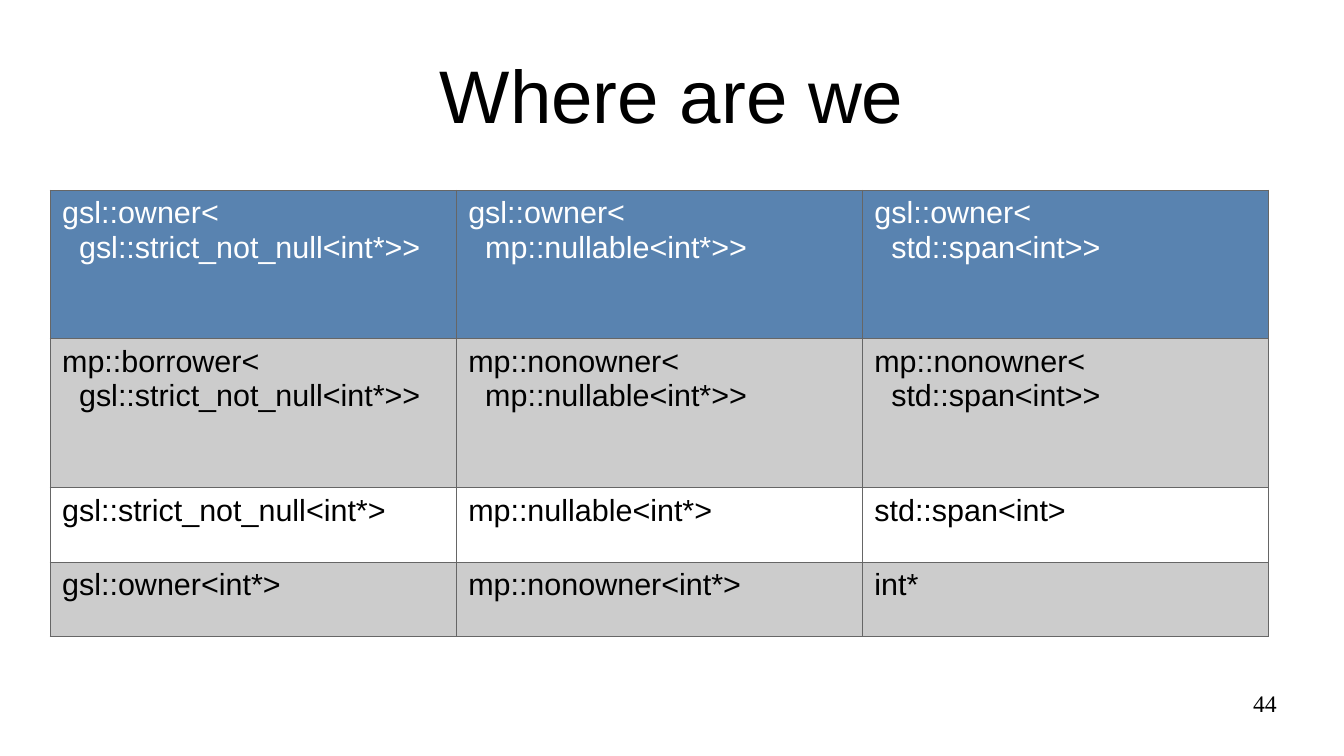
from dataclasses import dataclass

from lxml.etree import SubElement
from pptx import Presentation
from pptx.dml.color import RGBColor
from pptx.enum.text import MSO_ANCHOR as Anchor, PP_ALIGN as Align
from pptx.oxml.ns import qn
from pptx.slide import Slide
from pptx.table import _Cell as Cell
from pptx.text.text import TextFrame
from pptx.util import Inches, Pt

BLACK = RGBColor(0x00, 0x00, 0x00)
WHITE = RGBColor(0xFF, 0xFF, 0xFF)
BLUE = RGBColor(0x59, 0x83, 0xB0)
GREY = RGBColor(0xCC, 0xCC, 0xCC)
BORDER = RGBColor(0x66, 0x66, 0x66)

SLIDE_WIDTH, SLIDE_HEIGHT = 11.02, 6.2
TABLE_LEFT, TABLE_TOP = 0.41, 1.56
COLUMN_WIDTH, ROW_UNIT = 3.33, 0.61


@dataclass(frozen=True)
class TypeRow:
    """One table row: its cell texts, colours and height in row units."""

    texts: tuple[str, str, str]
    fill: RGBColor
    color: RGBColor = BLACK
    units: int = 1


def wrapped(outer: str, inner: str) -> str:
    """Return a template type over two lines, the inner type indented."""
    return f"{outer}<\v  {inner}>"


POINTERS = ("gsl::strict_not_null<int*>", "mp::nullable<int*>", "std::span<int>")
OWNERS = ("gsl::owner",) * 3
BORROWERS = ("mp::borrower", "mp::nonowner", "mp::nonowner")

ROWS = (
    TypeRow(tuple(map(wrapped, OWNERS, POINTERS)), BLUE, WHITE, 2),
    TypeRow(tuple(map(wrapped, BORROWERS, POINTERS)), GREY, units=2),
    TypeRow(POINTERS, WHITE),
    TypeRow(("gsl::owner<int*>", "mp::nonowner<int*>", "int*"), GREY),
)


def write(frame: TextFrame, text: str, size: float, align: Align,
          color: RGBColor = BLACK, font: str = "Arial") -> None:
    """Put one formatted paragraph into a text frame."""
    paragraph = frame.paragraphs[0]
    paragraph.text = text
    paragraph.alignment = align
    for run in paragraph.runs:
        run.font.size = Pt(size)
        run.font.name = font
        run.font.color.rgb = color


def clear_margins(frame: TextFrame) -> None:
    """Make a wrapping text frame without insets."""
    frame.word_wrap = True
    frame.margin_left = frame.margin_right = 0
    frame.margin_top = frame.margin_bottom = 0


def add_borders(cell: Cell) -> None:
    """Draw a thin line on each side of a table cell."""
    properties = cell._tc.get_or_add_tcPr()
    for side in ("a:lnL", "a:lnR", "a:lnT", "a:lnB"):
        line = SubElement(properties, qn(side), w=str(Pt(0.57)))
        fill = SubElement(line, qn("a:solidFill"))
        SubElement(fill, qn("a:srgbClr"), val=str(BORDER))


def add_title(slide: Slide, text: str) -> None:
    """Place and format the title placeholder."""
    title = slide.shapes.title
    title.left, title.top = Inches(SLIDE_WIDTH * 0.05), Inches(SLIDE_HEIGHT * 0.04)
    title.width, title.height = Inches(SLIDE_WIDTH * 0.9), Inches(1.04)
    clear_margins(title.text_frame)
    title.text_frame.vertical_anchor = Anchor.MIDDLE
    write(title.text_frame, text, 44, Align.CENTER)


def add_type_table(slide: Slide, rows: tuple[TypeRow, ...]) -> None:
    """Add the table of pointer types."""
    columns = len(POINTERS)
    units = sum(row.units for row in rows)
    table = slide.shapes.add_table(
        len(rows), columns, Inches(TABLE_LEFT), Inches(TABLE_TOP),
        Inches(columns * COLUMN_WIDTH), Inches(units * ROW_UNIT)).table
    for column in table.columns:
        column.width = Inches(COLUMN_WIDTH)
    for table_row, row in zip(table.rows, rows):
        table_row.height = Inches(row.units * ROW_UNIT)
        for cell, text in zip(table_row.cells, row.texts):
            add_borders(cell)
            cell.fill.solid()
            cell.fill.fore_color.rgb = row.fill
            write(cell.text_frame, text, 18, Align.LEFT, row.color)


def add_page_number(slide: Slide, number: int) -> None:
    """Add the page number at the lower right."""
    width = 2.57
    box = slide.shapes.add_textbox(
        Inches(SLIDE_WIDTH * 0.95 - width), Inches(5.65), Inches(width), Inches(0.43))
    clear_margins(box.text_frame)
    write(box.text_frame, str(number), 14, Align.RIGHT, font="Times New Roman")


def main() -> None:
    """Build and save the presentation."""
    presentation = Presentation()
    presentation.slide_width = Inches(SLIDE_WIDTH)
    presentation.slide_height = Inches(SLIDE_HEIGHT)
    slide = presentation.slides.add_slide(presentation.slide_layouts[5])
    add_title(slide, "Where are we")
    add_type_table(slide, ROWS)
    add_page_number(slide, 44)
    presentation.save("out.pptx")


if __name__ == "__main__":
    main()
